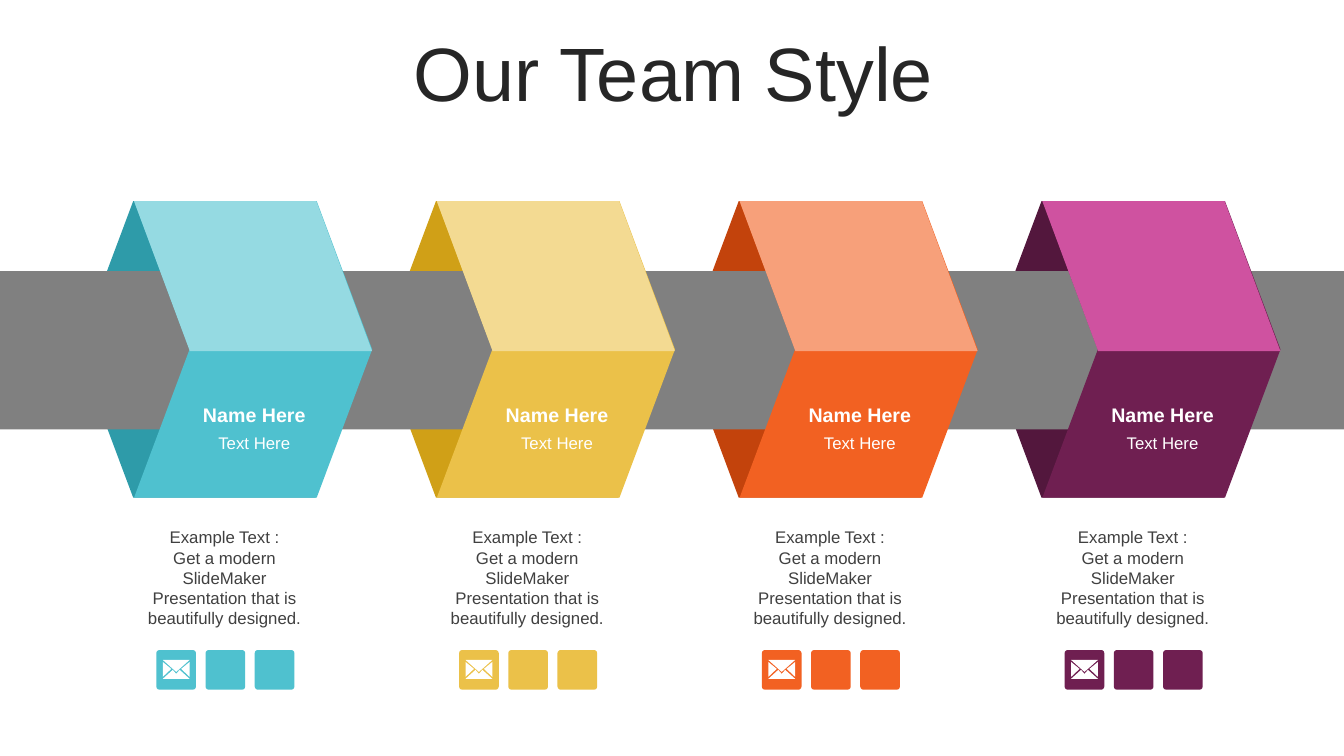
from dataclasses import dataclass

from pptx import Presentation
from pptx.dml.color import RGBColor
from pptx.enum.shapes import MSO_SHAPE
from pptx.enum.text import MSO_ANCHOR, PP_ALIGN
from pptx.util import Cm, Pt

CHEVRON = MSO_SHAPE.CHEVRON
PARALLELOGRAM = MSO_SHAPE.PARALLELOGRAM
RECTANGLE = MSO_SHAPE.RECTANGLE
ROUNDED = MSO_SHAPE.ROUNDED_RECTANGLE
MIDDLE, TOP = MSO_ANCHOR.MIDDLE, MSO_ANCHOR.TOP
CENTER = PP_ALIGN.CENTER


@dataclass(frozen=True)
class Theme:
    font: str = "Arial"
    title: str = "262626"
    body: str = "404040"
    white: str = "FFFFFF"
    band: str = "808080"
    title_size: int = 54
    name_size: int = 14
    text_size: int = 12


@dataclass(frozen=True)
class Member:
    fold: str
    front: str
    light: str
    name: str = "Name Here"
    role: str = "Text Here"
    about: str = (
        "Example Text :\n"
        "Get a modern SlideMaker Presentation that is beautifully designed."
    )


THEME = Theme()
TEAM = [
    Member("2E9BA9", "4FC1CF", "95DAE2"),
    Member("D0A017", "EBC149", "F3DA92"),
    Member("C3430C", "F26122", "F7A07A"),
    Member("53173D", "6F1F51", "CF52A0"),
]

RIBBON_LEFT, RIBBON_TOP, RIBBON_PITCH = 1.96, 5.07, 7.63
RIBBON_W, RIBBON_H, TOP_H = 6, 7.47, 3.78
FRONT_SHIFT = 1.42
ICON_SIZE, ICON_PITCH, ICON_COUNT = 1, 1.24, 3
ENVELOPE_UNITS = 400
ENVELOPE = [
    [(235, 200), (200, 240), (165, 200), (65, 290), (335, 290)],
    [(335, 120), (250, 190), (335, 270)],
    [(65, 120), (65, 270), (150, 190)],
    [(65, 100), (200, 220), (335, 100)],
]


def paint(sp, color):
    sp.shadow.inherit = False
    sp.fill.solid()
    sp.fill.fore_color.rgb = RGBColor.from_string(color)
    sp.line.fill.background()


def add_block(s, kind, box, color, adj=None, flip=False):
    sp = s.shapes.add_shape(kind, *map(Cm, box))
    paint(sp, color)
    if adj is not None:
        sp.adjustments[0] = adj
    if flip:
        sp.element.spPr.xfrm.set("flipH", "1")


def write(tf, text, size, color, bold=False, anchor=MIDDLE):
    tf.word_wrap = True
    tf.vertical_anchor = anchor
    tf.text = text
    for p in tf.paragraphs:
        p.alignment = CENTER
        p.space_before = Pt(0)
        for r in p.runs:
            r.font.name = THEME.font
            r.font.size = Pt(size)
            r.font.bold = bold
            r.font.color.rgb = RGBColor.from_string(color)


def add_text(s, box, text, size, color, bold=False, anchor=MIDDLE):
    tf = s.shapes.add_textbox(*map(Cm, box)).text_frame
    write(tf, text, size, color, bold, anchor)


def add_title(s, box, text):
    sp = s.shapes.title
    sp.left, sp.top, sp.width, sp.height = map(Cm, box)
    write(sp.text_frame, text, THEME.title_size, THEME.title)
    sp.text_frame.paragraphs[0].line_spacing = 0.9


def add_fold(s, left, top, member):
    add_block(s, CHEVRON, (left, top, RIBBON_W, RIBBON_H),
              member.fold, 0.233, flip=True)


def add_front(s, left, top, member):
    add_block(s, CHEVRON, (left, top, RIBBON_W, RIBBON_H), member.front, 0.233)
    add_block(s, PARALLELOGRAM, (left, top, RIBBON_W, TOP_H),
              member.light, 0.372, flip=True)
    add_text(s, (left + 1, top + 5.05, 4.06, 0.64), member.name,
             THEME.name_size, THEME.white, bold=True)
    add_text(s, (left + 1, top + 5.76, 4.06, 0.64), member.role,
             THEME.text_size, THEME.white)


def add_envelope(s, left, top):
    start, *rest = ENVELOPE
    fb = s.shapes.build_freeform(*start[0], scale=Cm(ICON_SIZE) / ENVELOPE_UNITS)
    fb.add_line_segments(start[1:], close=True)
    for flap in rest:
        fb.move_to(*flap[0])
        fb.add_line_segments(flap[1:], close=True)
    paint(fb.convert_to_shape(Cm(left), Cm(top)), THEME.white)


def add_profile(s, left, top, member):
    add_text(s, (left, top, 5, 2.82), member.about,
             THEME.text_size, THEME.body, anchor=TOP)
    icon_left, icon_top = left + 0.78, top + 3.22
    for i in range(ICON_COUNT):
        add_block(s, ROUNDED, (icon_left + i * ICON_PITCH, icon_top,
                               ICON_SIZE, ICON_SIZE), member.front, 0.08)
    add_envelope(s, icon_left, icon_top)


def add_team_slide(prs):
    s = prs.slides.add_slide(prs.slide_layouts[5])
    add_title(s, (0.89, 0.94, 32.16, 2), "Our Team Style")
    columns = [(RIBBON_LEFT + i * RIBBON_PITCH, m) for i, m in enumerate(TEAM)]
    for left, member in columns:
        add_fold(s, left, RIBBON_TOP, member)
    add_block(s, RECTANGLE, (0, 6.83, 33.87, 3.99), THEME.band)
    for left, member in columns:
        add_front(s, left + FRONT_SHIFT, RIBBON_TOP, member)
        add_profile(s, left + 1.2, 13.16, member)


def main():
    prs = Presentation()
    prs.slide_width, prs.slide_height = Cm(33.87), Cm(19.05)
    add_team_slide(prs)
    prs.save("out.pptx")


if __name__ == "__main__":
    main()
